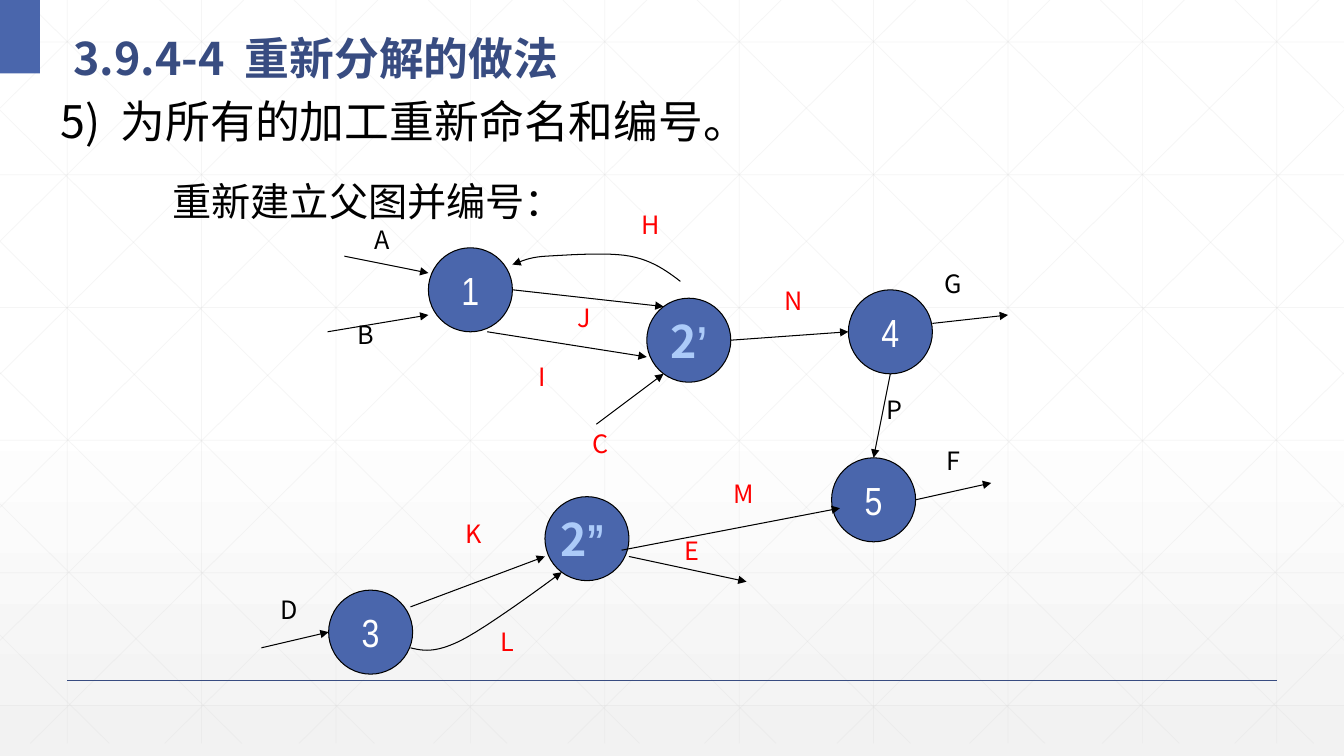
from lxml import etree
from pptx import Presentation
from pptx import util as u
from pptx.dml.color import RGBColor
from pptx.enum import shapes, text
from pptx.oxml.ns import qn

PX = 9525
WIDTH, HEIGHT, GRID_BOTTOM = 1280, 720, 708
CIRCLE = 80
SANS, NARROW = "Noto Sans CJK SC", "Arial Narrow"
COLORS = {
    "blue": "4A66AC", "navy": "384C81", "pale": "ACCBF9", "red": "FF0000",
    "black": "000000", "white": "FFFFFF", "smoke": "F2F2F2", "grid": "D9D9D9",
}

PROCESSES = [
    (408, 236, "1"), (313, 562, "3"), (808, 276, "4"), (792, 436, "5"),
    (519, 473, "2”"), (616, 284, "2’"),
]
FLOW_LABELS = {
    "black": [("A", 344, 210), ("B", 328, 300), ("D", 255, 562),
              ("F", 888, 420), ("G", 888, 252), ("P", 832, 372)],
    "red": [("C", 552, 404), ("E", 639, 506), ("H", 600, 196),
            ("I", 496, 340), ("J", 536, 284), ("K", 431, 490),
            ("L", 463, 593), ("M", 688, 452), ("N", 736, 268)],
}
FLOWS = [
    (328, 244, 408, 260), (312, 316, 408, 300), (488, 276, 632, 292),
    (464, 316, 616, 340), (568, 404, 632, 356), (696, 324, 808, 316),
    (888, 308, 960, 300), (848, 356, 832, 436), (872, 476, 944, 460),
    (249, 617, 313, 602), (391, 578, 519, 530), (592, 524, 800, 484),
    (599, 530, 711, 554),
]
CURVED_FLOWS = [
    [(648, 268), (635, 258), (621, 248), (600, 244), (579, 240),
     (539, 243), (520, 244), (501, 245), (493, 251), (488, 252)],
    [(391, 617), (403, 620), (415, 622), (439, 610), (463, 598),
     (519, 557), (535, 545)],
]


def px(*values):
    return [round(v * PX) for v in values]


def rgb(name):
    return RGBColor.from_string(COLORS[name])


def bezier_points(controls, steps=12):
    """Sample a chain of cubic curves that share their end points."""
    points = [controls[0]]
    for i in range(0, len(controls) - 1, 3):
        for k in range(1, steps + 1):
            t = k / steps
            weights = ((1 - t) ** 3, 3 * t * (1 - t) ** 2,
                       3 * t * t * (1 - t), t ** 3)
            points.append(tuple(
                sum(w * c[axis] for w, c in zip(weights, controls[i:i + 4]))
                for axis in (0, 1)))
    return points


class Board:
    """Holds the current slide and draws on it in one style."""

    def __init__(self, slide):
        self.s = slide

    def background(self):
        fill = self.s.background.fill
        fill.gradient()
        fill.gradient_angle = 270
        for stop, position, color in zip(
                fill.gradient_stops, (0.53, 1), ("white", "smoke")):
            stop.position = position
            stop.color.rgb = rgb(color)

    def set_text(self, tf, runs, align="CENTER", spacing=None, **frame):
        """Fill a text frame with (text, format) runs."""
        settings = {"word_wrap": True, "auto_size": text.MSO_AUTO_SIZE.NONE,
                    "vertical_anchor": text.MSO_ANCHOR.MIDDLE, **frame}
        for name, value in settings.items():
            setattr(tf, name, value)
        p = tf.paragraphs[0]
        p.alignment = getattr(text.PP_ALIGN, align)
        p.line_spacing = spacing
        for words, style in runs:
            r = p.add_run()
            r.text = words
            values = {"name": SANS, "bold": False, **style}
            r.font.color.rgb = rgb(values.pop("color"))
            values["size"] = u.Pt(values["size"])
            tracking = values.pop("tracking", None)
            for name, value in values.items():
                setattr(r.font, name, value)
            rPr = r._r.get_or_add_rPr()
            etree.SubElement(rPr, qn("a:ea"), typeface=SANS)
            if tracking:
                rPr.set("spc", str(tracking * 100))

    def title(self, box, runs):
        sp = self.s.shapes.title
        self.s.shapes._spTree.append(sp._element)
        sp.left, sp.top, sp.width, sp.height = px(*box)
        self.set_text(sp.text_frame, runs, align="LEFT", spacing=1.3)

    def textbox(self, box, runs, **options):
        sp = self.s.shapes.add_textbox(*px(*box))
        self.set_text(sp.text_frame, runs, **options)

    def shape(self, kind, box, outline=None):
        sp = self.s.shapes.add_shape(kind, *px(*box))
        sp.shadow.inherit = False
        sp.fill.solid()
        sp.fill.fore_color.rgb = rgb("blue")
        if outline:
            self.stroke(sp.line, outline)
        else:
            sp.line.fill.background()
        return sp

    def process(self, x, y, number):
        sp = self.shape(shapes.MSO_SHAPE.FLOWCHART_CONNECTOR,
                        (x, y, CIRCLE, CIRCLE), "black")
        plain = {"size": 28, "name": NARROW, "color": "white"}
        runs = [(number, plain)]
        if len(number) > 1:
            split = {"size": 32, "bold": True, "color": "pale"}
            runs = [(number[0], split), (number[1], {**split, "name": NARROW})]
            if number[1] == "”":
                runs.append((" ", plain))
        self.set_text(sp.text_frame, runs, word_wrap=False)

    def stroke(self, line, color, width=0.75, alpha=None, arrow=False):
        line.color.rgb = rgb(color)
        line.width = u.Pt(width)
        ln = line._get_or_add_ln()
        if alpha:
            clr = ln.find(".//" + qn("a:srgbClr"))
            etree.SubElement(clr, qn("a:alpha"), val=str(alpha * 1000))
        if arrow:
            etree.SubElement(ln, qn("a:tailEnd"), type="triangle")

    def line(self, ends, color="black", **style):
        c = self.s.shapes.add_connector(
            shapes.MSO_CONNECTOR.STRAIGHT, *px(*ends))
        self.stroke(c.line, color, **style)
        etree.SubElement(c._element.spPr, qn("a:effectLst"))

    def curve(self, controls):
        points = [px(*point) for point in bezier_points(controls)]
        builder = self.s.shapes.build_freeform(*points[0])
        builder.add_line_segments(points[1:], close=False)
        sp = builder.convert_to_shape()
        sp.shadow.inherit = False
        sp.fill.background()
        self.stroke(sp.line, "black", arrow=True)

    def grid(self):
        """Faint squares crossed by diagonals that run both ways."""
        lines = [(x, 0, x, GRID_BOTTOM) for x in range(64, WIDTH, 128)]
        lines += [(0, 40 + 126.4 * i, WIDTH, 40 + 126.4 * i) for i in range(6)]
        slope = 0.99
        diagonals = []
        for x in range(24, WIDTH, 128):
            end = min(WIDTH, x + GRID_BOTTOM / slope)
            diagonals.append((x, 0, end, (end - x) * slope))
        for y in range(105, GRID_BOTTOM, 125):
            diagonals.append((0, y, (GRID_BOTTOM - y) / slope, GRID_BOTTOM))
        lines += diagonals
        lines += [(WIDTH - x1, y1, WIDTH - x2, y2)
                  for x1, y1, x2, y2 in diagonals]
        for ends in lines:
            self.line(ends, "grid", width=0.5, alpha=25)


def main():
    prs = Presentation()
    prs.slide_width, prs.slide_height = px(WIDTH, HEIGHT)
    board = Board(prs.slides.add_slide(prs.slide_layouts[5]))
    board.background()
    board.grid()
    board.line((64, 648, 1216, 648), "navy", width=1)
    board.shape(shapes.MSO_SHAPE.RECTANGLE, (0, 0, 38, 70))

    heading = {"size": 32, "bold": True, "color": "navy"}
    board.title((60, 12, 1119, 70), [
        ("3.9.4-4", heading), (" ", {**heading, "tracking": 7}),
        ("重新分解的做法", heading)])
    step = {"size": 32, "color": "black"}
    board.textbox((40, 89, 824, 216), [
        ("5)", step), (" ", {**step, "tracking": 7}),
        ("为所有的加工重新命名和编号。", step)],
        align="LEFT", vertical_anchor=text.MSO_ANCHOR.TOP,
        margin_left=18 * PX, margin_top=0)
    board.textbox((152, 164, 360, 55), [
        ("重新建立父图并编号：", {"size": 28, "name": NARROW, "color": "black"})])

    for process in PROCESSES:
        board.process(*process)
    for ends in FLOWS:
        board.line(ends, arrow=True)
    for controls in CURVED_FLOWS:
        board.curve(controls)
    for color, labels in FLOW_LABELS.items():
        for name, x, y in labels:
            board.textbox((x, y, 40, 36), [(name, {"size": 18, "color": color})])
    prs.save("out.pptx")


if __name__ == "__main__":
    main()
